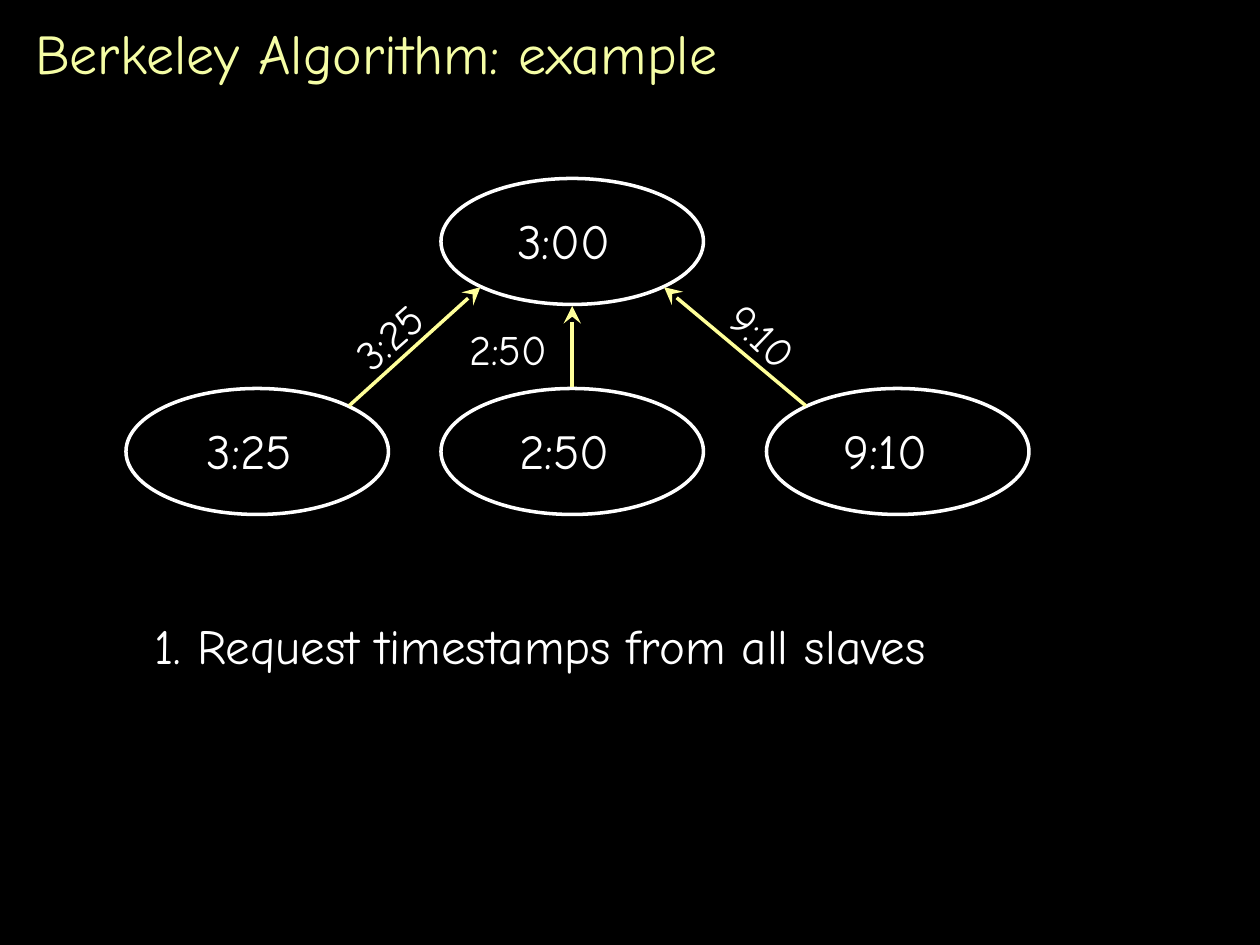
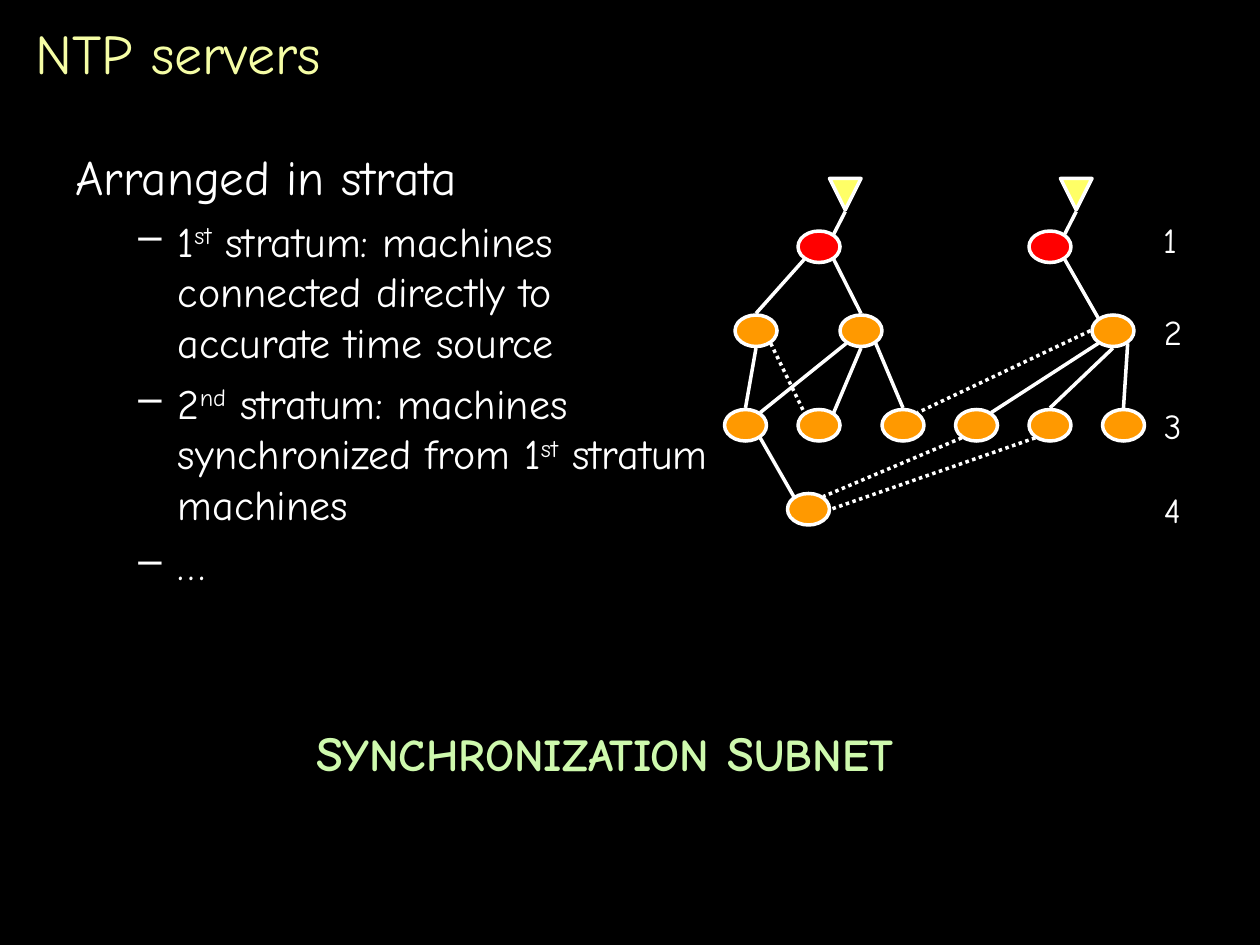
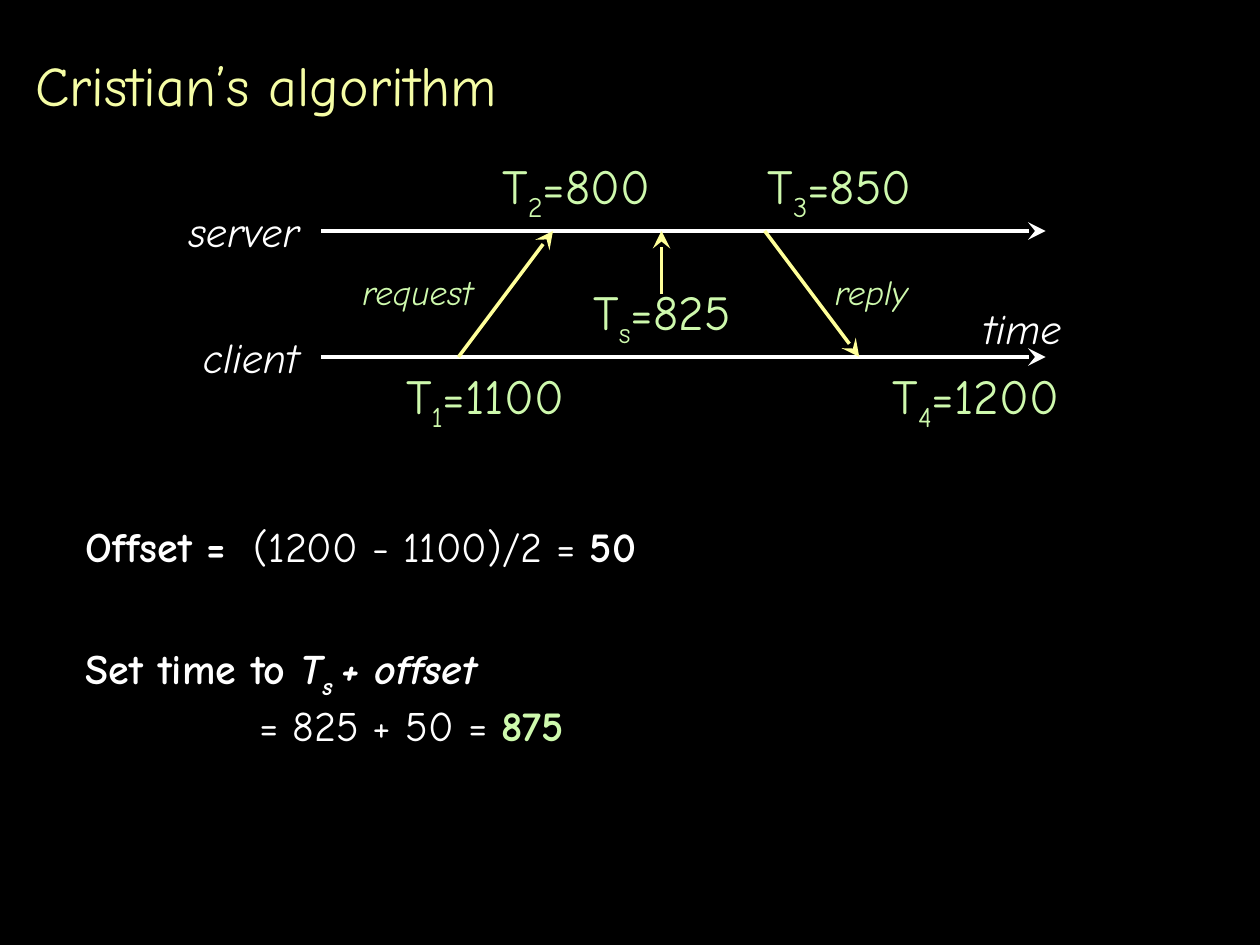
"""Build three slides on clock synchronization: Berkeley, NTP and Cristian."""
from dataclasses import dataclass

from lxml.etree import SubElement
from pptx import Presentation
from pptx.dml.color import RGBColor
from pptx.enum.dml import MSO_LINE
from pptx.enum.shapes import MSO_CONNECTOR, MSO_SHAPE
from pptx.enum.text import MSO_ANCHOR, MSO_AUTO_SIZE, PP_ALIGN
from pptx.oxml.ns import qn
from pptx.util import Pt


@dataclass(frozen=True)
class Theme:
    font: str = "Comic Neue"
    background: str = "000000"
    text: str = "FFFFFF"
    title: str = "F5FDA5"
    accent: str = "CEF9AD"
    arrow: str = "FFFF99"
    source: str = "FFFF66"
    primary: str = "FF0000"
    server: str = "FF9900"
    title_size: int = 32
    large: int = 28
    small_caps: int = 26
    medium: int = 24
    small: int = 20
    stroke: int = 2


theme = Theme()


def add_text(page, text, place=None, box=None, size=theme.medium, color=theme.text,
             bold=False, italic=False, align=PP_ALIGN.LEFT, anchor=MSO_ANCHOR.TOP,
             wrap=False, grow=True, rotation=0, before=0, indent=(0, 0),
             bullet=None, tab=72):
    """Add a text box, or one more paragraph to a given box."""
    if box is None:
        box = page.shapes.add_textbox(*map(Pt, place))
        box.rotation = rotation
        frame = box.text_frame
        frame.word_wrap = wrap
        frame.vertical_anchor = anchor
        frame.auto_size = MSO_AUTO_SIZE.SHAPE_TO_FIT_TEXT if grow else MSO_AUTO_SIZE.NONE
        para = frame.paragraphs[0]
    else:
        para = box.text_frame.add_paragraph()
    para.alignment = align
    para.space_before = Pt(before)
    properties = para._p.get_or_add_pPr()
    properties.set("marL", str(Pt(indent[0])))
    properties.set("indent", str(Pt(indent[1])))
    properties.set("defTabSz", str(Pt(tab)))
    if bullet:
        bullet_color = SubElement(properties, qn("a:buClr"))
        SubElement(bullet_color, qn("a:srgbClr"), val=color)
        SubElement(properties, qn("a:buChar"), char=bullet)
    for words, style in [(text, {})] if isinstance(text, str) else text:
        if words.startswith("\v"):
            para.add_line_break()
        span = para.add_run()
        span.text = words.lstrip("\v")
        span.font.name = theme.font
        span.font.size = Pt(style.get("size", size))
        span.font.bold = style.get("bold", bold)
        span.font.italic = style.get("italic", italic)
        span.font.color.rgb = RGBColor.from_string(style.get("color", color))
        if "baseline" in style:
            span.font._element.set("baseline", str(style["baseline"] * 1000))
    return box


def add_line(page, start, end, color=theme.text, dotted=False, arrow=False):
    """Draw a straight line between two points, with an optional arrowhead."""
    line = page.shapes.add_connector(MSO_CONNECTOR.STRAIGHT, *start, *end)
    line.line.color.rgb = RGBColor.from_string(color)
    line.line.width = Pt(theme.stroke)
    if dotted:
        line.line.dash_style = MSO_LINE.ROUND_DOT
    properties = line._element.spPr
    if arrow:
        SubElement(properties.find(qn("a:ln")), qn("a:tailEnd"),
                   type="stealth", w="lg", len="lg")
    SubElement(properties, qn("a:effectLst"))


deck = Presentation()
deck.slide_width, deck.slide_height = Pt(720), Pt(540)
pages = []
for title, top in [("Berkeley Algorithm: example", 6), ("NTP servers", 6),
                   ("Cristian’s algorithm", 24)]:
    page = deck.slides.add_slide(deck.slide_layouts[6])
    page.background.fill.solid()
    page.background.fill.fore_color.rgb = RGBColor.from_string(theme.background)
    add_text(page, title, (13, top, 696, 48), size=theme.title_size, color=theme.title,
             anchor=MSO_ANCHOR.MIDDLE, wrap=True, grow=False)
    pages.append(page)
berkeley, ntp, cristian = pages

superscript, subscript = {"baseline": 30}, {"baseline": -25}
outline = {"before": 6, "indent": (58.5, -22.5), "bullet": "–"}
body = add_text(ntp, "Arranged in strata", (36, 80, 381, 276), size=theme.large,
                wrap=True, grow=False, before=7, indent=(27, -27))
add_text(ntp, [("1", {}), ("st", superscript),
               (" stratum: machines connected directly to accurate time source", {})],
         box=body, **outline)
add_text(ntp, [("2", {}), ("nd", superscript),
               (" stratum: machines synchronized from 1", {}), ("st", superscript),
               (" stratum machines", {})], box=body, **outline)
add_text(ntp, "…", box=body, **outline)
capital, small_cap = {"size": theme.large}, {"size": theme.small_caps}
add_text(ntp, [("S", capital), ("YNCHRONIZATION", small_cap),
               (" S", capital), ("UBNET", small_cap)],
         (173.5, 409.5, 348, 41), color=theme.accent, bold=True)
for stratum, left, top, width in [("1", 657.5, 121.5, 23), ("2", 658, 174, 25),
                                  ("3", 658, 227.5, 25), ("4", 658, 275.5, 25)]:
    add_text(ntp, stratum, (left, top, width, 32), size=theme.small)

clock, source, server = (150, 72), (18, 18), (24, 18)
groups = [
    (berkeley, "master", clock, 102, [252], None),
    (berkeley, "slave", clock, 222, [72, 252, 438], None),
    (ntp, "source", source, 102, [474, 606], theme.source),
    (ntp, "first", server, 132, [456, 588], theme.primary),
    (ntp, "second", server, 180, [420, 480, 624], theme.server),
    (ntp, "third", server, 234, [414, 456, 504, 546, 588, 630], theme.server),
    (ntp, "fourth", server, 282, [450], theme.server),
]
nodes = {}
for page, group, size, top, lefts, fill in groups:
    for number, left in enumerate(lefts, 1):
        preset = MSO_SHAPE.ISOSCELES_TRIANGLE if group == "source" else MSO_SHAPE.OVAL
        node = page.shapes.add_shape(preset, *map(Pt, (left, top, *size)))
        node.shadow.inherit = False
        node.line.color.rgb = RGBColor.from_string(theme.text)
        node.line.width = Pt(theme.stroke)
        if fill:
            node.fill.solid()
            node.fill.fore_color.rgb = RGBColor.from_string(fill)
        else:
            node.fill.background()
        if group == "source":
            node._element.spPr.find(qn("a:xfrm")).set("flipV", "1")
        nodes[group, number] = node

near, far, gap = 0.15, 0.85, Pt(0.9)
sides = {"top": (0.5, 0), "bottom": (0.5, 1), "left": (0, 0.5), "right": (1, 0.5),
         "top left": (near, near), "top right": (far, near),
         "bottom left": (near, far), "bottom right": (far, far)}
reports = {"color": theme.arrow, "arrow": True}
solid, dotted = {}, {"dotted": True}
links = [
    (berkeley, "slave", 1, "top right", "master", 1, "bottom left", reports),
    (berkeley, "slave", 2, "top", "master", 1, "bottom", reports),
    (berkeley, "slave", 3, "top left", "master", 1, "bottom right", reports),
    (ntp, "source", 1, "bottom", "first", 1, "top right", solid),
    (ntp, "source", 2, "bottom", "first", 2, "top right", solid),
    (ntp, "first", 1, "bottom left", "second", 1, "top", solid),
    (ntp, "first", 1, "bottom right", "second", 2, "top", solid),
    (ntp, "first", 2, "bottom right", "second", 3, "top left", solid),
    (ntp, "second", 1, "bottom", "third", 1, "top", solid),
    (ntp, "second", 1, "bottom right", "third", 2, "top left", dotted),
    (ntp, "second", 2, "bottom left", "third", 1, "top right", solid),
    (ntp, "second", 2, "bottom", "third", 2, "top right", solid),
    (ntp, "second", 2, "bottom right", "third", 3, "top", solid),
    (ntp, "second", 3, "left", "third", 3, "top right", dotted),
    (ntp, "second", 3, "bottom left", "third", 4, "top right", solid),
    (ntp, "second", 3, "bottom", "third", 5, "top", solid),
    (ntp, "second", 3, "bottom right", "third", 6, "top", solid),
    (ntp, "third", 1, "bottom right", "fourth", 1, "top left", solid),
    (ntp, "third", 4, "bottom left", "fourth", 1, "top right", dotted),
    (ntp, "third", 5, "bottom left", "fourth", 1, "right", dotted),
]
for page, *ends, style in links:
    points = []
    for group, number, side in (ends[:3], ends[3:]):
        node, (across, down) = nodes[group, number], sides[side]
        outward_x = (across == 1) - (across == 0)
        outward_y = (down > 0.5) - (down < 0.5)
        points.append((int(node.left + across * node.width + outward_x * gap),
                       int(node.top + down * node.height + outward_y * gap)))
    add_line(page, *points, **style)

for time, left, top, width in [("3:25", 111, 236.5, 65), ("2:50", 289.5, 236.5, 68),
                               ("9:10", 475, 236.5, 64), ("3:00", 288.5, 116.5, 69)]:
    add_text(berkeley, time, (left, top, width, 41), size=theme.large)
for time, left, top, width, angle in [("3:25", 194, 173.5, 58, 318.6),
                                      ("2:50", 261, 181.5, 60, 0),
                                      ("9:10", 408.5, 174, 56.5, 42.9)]:
    add_text(berkeley, time, (left, top, width, 36), rotation=angle)
add_text(berkeley, "1. Request timestamps from all slaves", (81, 348, 458, 41),
         size=theme.large)

server_line, client_line = 132, 204
for name, height in [("server", server_line), ("client", client_line)]:
    add_line(cristian, (Pt(183.5), Pt(height)), (Pt(597.5), Pt(height)), arrow=True)
    add_text(cristian, name, (58, height - 18, 120, 36), italic=True,
             align=PP_ALIGN.RIGHT, wrap=True)
for start, end in [((262, client_line), (316, server_line)),
                   ((437, server_line), (491, client_line)),
                   ((378, 168), (378, server_line))]:
    add_line(cristian, tuple(map(Pt, start)), tuple(map(Pt, end)), **reports)
add_text(cristian, "time", (554.5, 169.5, 61, 36), italic=True)
for message, left, width in [("request", 200, 79), ("reply", 470, 57)]:
    add_text(cristian, message, (left, 151, width, 32), size=theme.small,
             color=theme.accent, italic=True)
for index, value, left, top, width in [("1", "=1100", 225, 205.5, 106),
                                       ("2", "=800", 280, 85.5, 100),
                                       ("4", "=1200", 503, 205.5, 111),
                                       ("3", "=850", 431.5, 85.5, 98),
                                       ("s", "=825", 332, 157.5, 94)]:
    add_text(cristian, [("T", {}), (index, subscript), (value, {})],
             (left, top, width, 45.5), size=theme.large, color=theme.accent)

strong, slanted = {"bold": True}, {"bold": True, "italic": True}
result = add_text(cristian, [("Offset =", strong), ("\t(1200 - 1100)/2 = ", {}),
                             ("50", strong)],
                  (42, 294, 426, 192), wrap=True, grow=False, before=6,
                  indent=(27, -27), tab=69)
add_text(cristian, [("Set time to ", strong), ("T", slanted),
                    ("s ", {**slanted, **subscript}), ("+ offset", slanted),
                    ("\v\t= 825 + 50 = ", {}), ("875", {"bold": True, "color": theme.accent})],
         box=result, before=40.8, indent=(27, -27))

deck.save("out.pptx")
